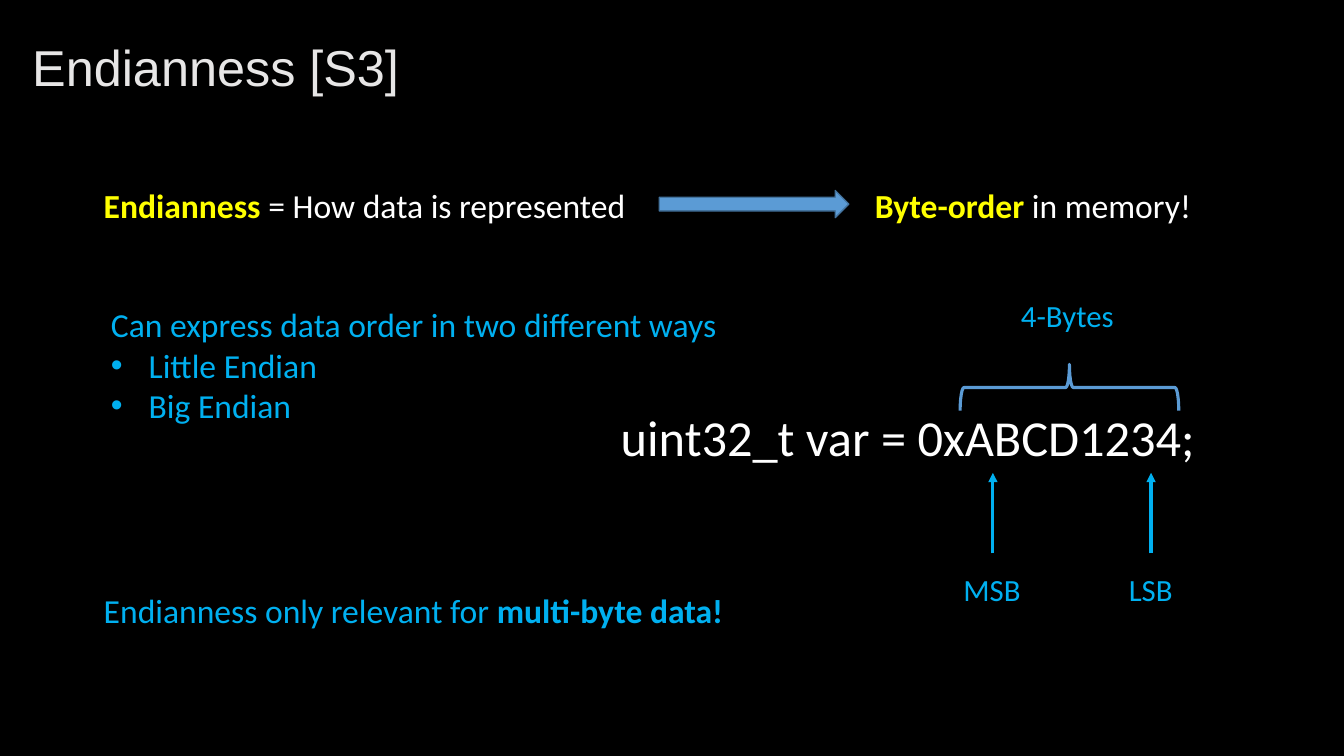
from lxml import etree
from pptx import Presentation
from pptx.dml.color import RGBColor
from pptx.enum.shapes import MSO_CONNECTOR, MSO_SHAPE
from pptx.enum.text import MSO_ANCHOR, MSO_AUTO_SIZE, PP_ALIGN
from pptx.oxml.ns import qn
from pptx.util import Pt

STRAIGHT = MSO_CONNECTOR.STRAIGHT
RIGHT_ARROW = MSO_SHAPE.RIGHT_ARROW
RIGHT_BRACE = MSO_SHAPE.RIGHT_BRACE
LEFT = PP_ALIGN.LEFT
TOP = MSO_ANCHOR.TOP
MIDDLE = MSO_ANCHOR.MIDDLE
NO_FIT = MSO_AUTO_SIZE.NONE

COLORS = {
    "background": "000000",
    "title": "E7E6E6",
    "text": "FFFFFF",
    "keyword": "FFFF00",
    "accent": "00B0F0",
    "shape": "5B9BD5",
    "outline": "43739E",
}
BULLET_INDENT = 27


def color(name):
    return RGBColor.from_string(COLORS[name])


def add_span(para, text, size, color_name, bold=False, font="Calibri"):
    span = para.add_run()
    span.text = text
    span.font.name = font
    span.font.size = Pt(size)
    span.font.bold = bold
    span.font.color.rgb = color(color_name)


def place(shape, left, top, width, height):
    shape.left, shape.top = Pt(left), Pt(top)
    shape.width, shape.height = Pt(width), Pt(height)


def add_title(page, text):
    title = page.shapes.title
    place(title, 15.8, 15.1, 928, 69.8)
    frame = title.text_frame
    frame.auto_size = NO_FIT
    frame.vertical_anchor = MIDDLE
    para = frame.paragraphs[0]
    para.alignment = LEFT
    para.line_spacing = 0.9
    add_span(para, text, 36, "title", font="Arial")


def set_bullet(para, symbol=None):
    """Give the paragraph a hanging bullet, or none without a symbol."""
    indent = Pt(BULLET_INDENT) if symbol else 0
    props = para._p.get_or_add_pPr()
    props.set("marL", str(indent))
    props.set("indent", str(-indent))
    if symbol:
        etree.SubElement(props, qn("a:buFont")).set("typeface", "Arial")
        etree.SubElement(props, qn("a:buChar")).set("char", symbol)
    else:
        etree.SubElement(props, qn("a:buNone"))


def add_list(page, lead, items):
    body = page.placeholders[1]
    place(body, 72, 213.8, 513.4, 152.6)
    frame = body.text_frame
    frame.auto_size = NO_FIT
    frame.vertical_anchor = TOP
    for number, text in enumerate([lead, *items]):
        para = frame.add_paragraph() if number else frame.paragraphs[0]
        para.space_before = Pt(0)
        set_bullet(para, "•" if number else None)
        add_span(para, text, 24, "accent")


def add_text(page, bounds, size, spans, wrap=False):
    """Add one line of text from (text, colour name, bold) spans."""
    box = page.shapes.add_textbox(*map(Pt, bounds))
    box.text_frame.word_wrap = wrap
    for text, color_name, bold in spans:
        add_span(box.text_frame.paragraphs[0], text, size, color_name, bold)


def add_block_arrow(page, bounds):
    arrow = page.shapes.add_shape(RIGHT_ARROW, *map(Pt, bounds))
    arrow.shadow.inherit = False
    arrow.fill.solid()
    arrow.fill.fore_color.rgb = color("shape")
    arrow.line.color.rgb = color("outline")
    arrow.line.width = Pt(1)


def add_brace(page, bounds):
    brace = page.shapes.add_shape(RIGHT_BRACE, *map(Pt, bounds))
    brace.rotation = 270
    brace.shadow.inherit = False
    brace.fill.background()
    brace.line.color.rgb = color("shape")
    brace.line.width = Pt(2.25)


def add_pointer(page, x, bottom, top):
    pointer = page.shapes.add_connector(STRAIGHT, Pt(x), Pt(bottom), Pt(x), Pt(top))
    pointer.line.color.rgb = color("accent")
    pointer.line.width = Pt(2.25)
    etree.SubElement(pointer.line._get_or_add_ln(), qn("a:tailEnd")).set("type", "triangle")
    etree.SubElement(pointer._element.spPr, qn("a:effectLst"))


def main():
    deck = Presentation()
    deck.slide_width, deck.slide_height = Pt(960), Pt(540)
    page = deck.slides.add_slide(deck.slide_layouts[1])
    page.background.fill.solid()
    page.background.fill.fore_color.rgb = color("background")

    add_title(page, "Endianness [S3]")
    add_text(page, (67, 128.2, 427.7, 36), 24,
             [("Endianness", "keyword", True),
              (" = How data is represented", "text", False)])
    add_block_arrow(page, (470.9, 136.1, 135.4, 19.4))
    add_text(page, (617.8, 128.2, 265.7, 36), 24,
             [("Byte-order ", "keyword", True), ("in memory!", "text", False)])

    add_list(page, "Can express data order in two different ways",
             ["Little Endian", "Big Endian"])
    add_text(page, (67, 417.6, 524.2, 36), 24,
             [("Endianness only relevant for ", "accent", False),
              ("multi-byte data!", "accent", True)], wrap=True)

    add_text(page, (436.3, 286.6, 429.1, 51.1), 36,
             [("uint32_t var = 0xABCD1234;", "text", False)], wrap=True)
    add_brace(page, (747.4, 198.7, 33.1, 156.2))
    for x in (709.2, 822.2):
        add_pointer(page, x, 395.3, 337.7)
    for text, left, top, width in (("4-Bytes", 722.2, 208.1, 82.1),
                                   ("MSB", 681.1, 403.9, 56.2),
                                   ("LSB", 799.2, 403.9, 46.1)):
        add_text(page, (left, top, width, 33.8), 22, [(text, "accent", False)])

    deck.save("out.pptx")


if __name__ == "__main__":
    main()
